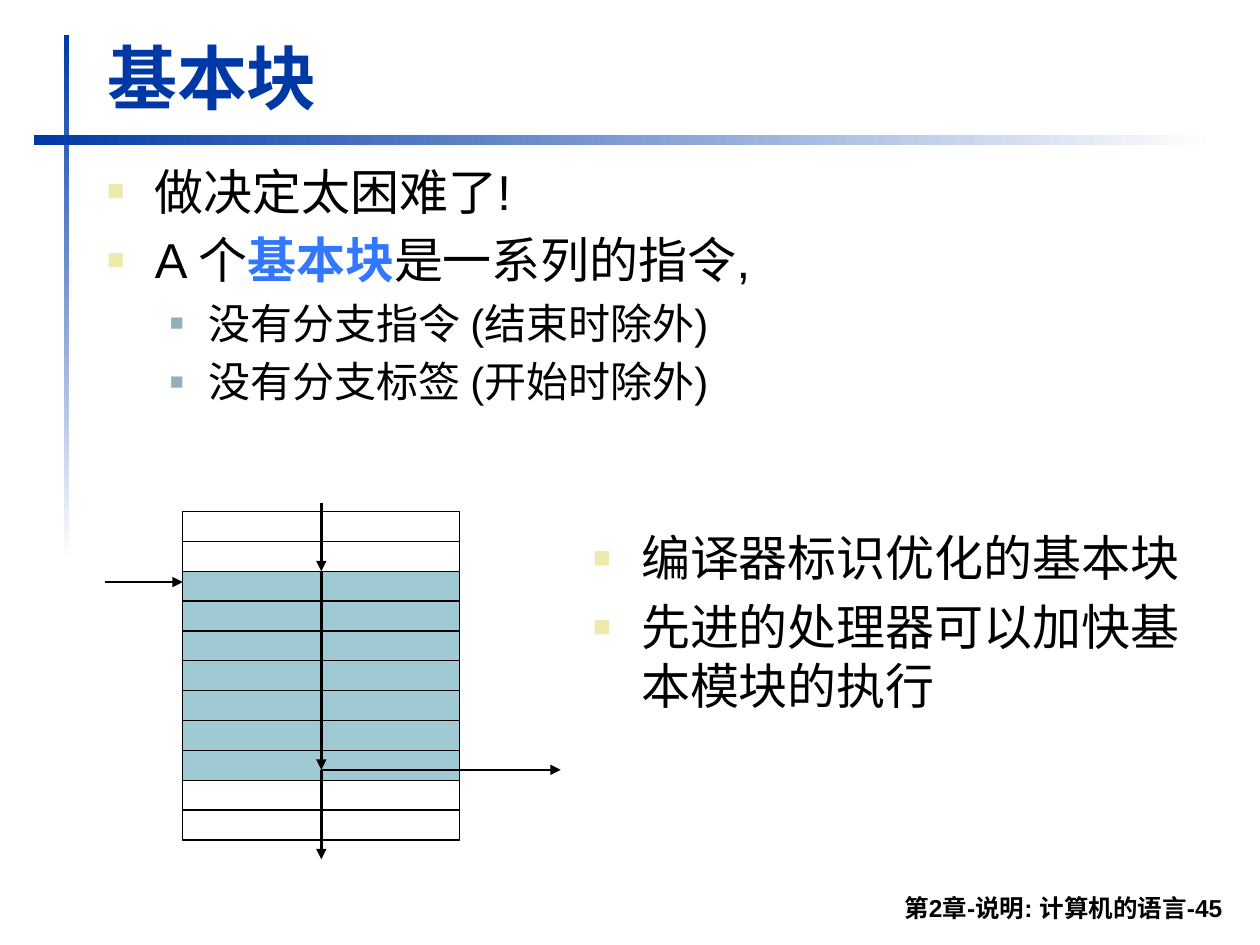
from lxml import etree
from pptx import Presentation
from pptx import util as u
from pptx.dml.color import RGBColor
from pptx.enum import shapes, text
from pptx.oxml.ns import qn

NAVY = RGBColor(0x00, 0x39, 0xA6)
BLUE = RGBColor(0x31, 0x77, 0xFF)
TEAL = RGBColor(0x9F, 0xCA, 0xD3)
CREAM = RGBColor(0xEC, 0xEA, 0xAC)
STEEL = RGBColor(0x91, 0xAF, 0xBF)
BLACK = RGBColor(0, 0, 0)
WHITE = RGBColor(0xFF, 0xFF, 0xFF)

COLS, ROWS = 100, 75
LEVELS = [
    dict(size=28, left=0.38, hang=0.38, mark=CREAM, share=60),
    dict(size=24, left=0.81, hang=0.31, mark=STEEL, share=55),
]


class Deck:
    def __init__(self):
        self.prs = Presentation()
        self.prs.slide_width = u.Inches(10)
        self.prs.slide_height = u.Inches(7.5)
        self.slide = self.prs.slides.add_slide(self.prs.slide_layouts[5])
        self.shapes = self.slide.shapes

    def x(self, col):
        return round(self.prs.slide_width * col / COLS)

    def y(self, row):
        return round(self.prs.slide_height * row / ROWS)

    def box(self, col, row, wide, high):
        return self.x(col), self.y(row), self.x(wide), self.y(high)

    def style(self, item, **form):
        for key, value in form.items():
            setattr(item, key, value)

    def run(self, para, words, size, color=BLACK, bold=False):
        run = para.add_run()
        run.text = words
        self.style(run.font, name="Arial", size=u.Pt(size), bold=bold)
        run.font.color.rgb = color

    def title(self, words, *place):
        shape = self.shapes.title
        names = ("left", "top", "width", "height")
        self.style(shape, **dict(zip(names, self.box(*place))))
        self.style(shape.text_frame, word_wrap=True,
                   auto_size=text.MSO_AUTO_SIZE.NONE,
                   vertical_anchor=text.MSO_ANCHOR.BOTTOM)
        para = shape.text_frame.paragraphs[0]
        para.alignment = text.PP_ALIGN.LEFT
        self.run(para, words, 40, NAVY, True)

    def frame(self, *place):
        frame = self.shapes.add_textbox(*self.box(*place)).text_frame
        frame.word_wrap = True
        return frame

    def footer(self, words, *place):
        frame = self.frame(*place)
        frame.vertical_anchor = text.MSO_ANCHOR.BOTTOM
        para = frame.paragraphs[0]
        para.alignment = text.PP_ALIGN.RIGHT
        self.run(para, words, 14, bold=True)

    def bullet(self, para, level):
        form = LEVELS[level]
        para.level = level
        props = para._p.get_or_add_pPr()
        props.set("marL", str(u.Inches(form["left"])))
        props.set("indent", str(-u.Inches(form["hang"])))
        color = etree.SubElement(props, qn("a:buClr"))
        etree.SubElement(color, qn("a:srgbClr"), val=str(form["mark"]))
        etree.SubElement(props, qn("a:buSzPct"), val=str(form["share"] * 1000))
        etree.SubElement(props, qn("a:buFont"), typeface="Arial")
        etree.SubElement(props, qn("a:buChar"), char="■")

    def bullets(self, items, *place):
        frame = self.frame(*place)
        for i, (level, runs) in enumerate(items):
            para = frame.add_paragraph() if i else frame.paragraphs[0]
            size = LEVELS[level]["size"]
            self.bullet(para, level)
            if i:
                para.space_before = u.Pt(size * 0.2)
            for words, *form in runs:
                self.run(para, words, size, *form)

    def rect(self, *place):
        shape = self.shapes.add_shape(
            shapes.MSO_SHAPE.RECTANGLE, *self.box(*place))
        shape.shadow.inherit = False
        return shape

    def fade(self, angle, *place):
        shape = self.rect(*place)
        shape.line.fill.background()
        shape.fill.gradient()
        shape.fill.gradient_angle = angle
        for stop, color in zip(shape.fill.gradient_stops, (NAVY, WHITE)):
            stop.color.rgb = color

    def cell(self, color, *place):
        shape = self.rect(*place)
        if color is None:
            shape.fill.background()
        else:
            shape.fill.solid()
            shape.fill.fore_color.rgb = color
        shape.line.color.rgb = BLACK
        shape.line.width = u.Pt(0.75)
        return shape

    def arrow(self, start, end):
        (a, b), (c, d) = start, end
        line = self.shapes.add_connector(
            shapes.MSO_CONNECTOR.STRAIGHT,
            self.x(a), self.y(b), self.x(c), self.y(d))
        line.line.color.rgb = BLACK
        line.line.width = u.Pt(1.5)
        etree.SubElement(line.line._get_or_add_ln(), qn("a:tailEnd"),
                         type="triangle")
        etree.SubElement(line._element.spPr, qn("a:effectLst"))
        return line


def main():
    deck = Deck()
    deck.fade(270, 5.1, 2.8, 0.4, 41.7)
    deck.fade(0, 2.7, 10.7, 93.7, 0.8)
    deck.title("基本块", 7.5, 2.2, 90.3, 7.7)
    deck.footer("第2章-说明: 计算机的语言-45", 18.5, 69.8, 79.5, 3.9)
    deck.bullets([
        (0, [("做决定太困难了!",)]),
        (0, [("A 个",), ("基本块", BLUE, True), ("是一系列的指令,",)]),
        (1, [("没有分支指令 (结束时除外)",)]),
        (1, [("没有分支标签 (开始时除外)",)]),
    ], 7.5, 12.3, 90.5, 25.2)

    left, top, wide, step = 14.5, 40.6, 22, 2.37
    count, first, last = 11, 2, 8
    cells = [
        deck.cell(TEAL if first <= i <= last else None,
                  left, top + i * step, wide, step)
        for i in range(count)
    ]
    mid = left + wide / 2
    entry = top + first * step
    leave = 61.1
    inward = deck.arrow((mid, 39.9), (mid, entry))
    inward.end_connect(cells[first], 0)
    through = deck.arrow((mid, entry), (mid, leave))
    through.begin_connect(cells[first], 0)
    deck.arrow((mid, leave), (mid, 68.2))
    deck.arrow((mid, leave), (44.5, leave))
    deck.arrow((8.3, 46.2), (left, 46.2))

    deck.bullets([
        (0, [("编译器标识优化的基本块",)]),
        (0, [("先进的处理器可以加快基本模块的执行",)]),
    ], 46.1, 41.4, 51.1, 26)
    deck.prs.save("out.pptx")


if __name__ == "__main__":
    main()
